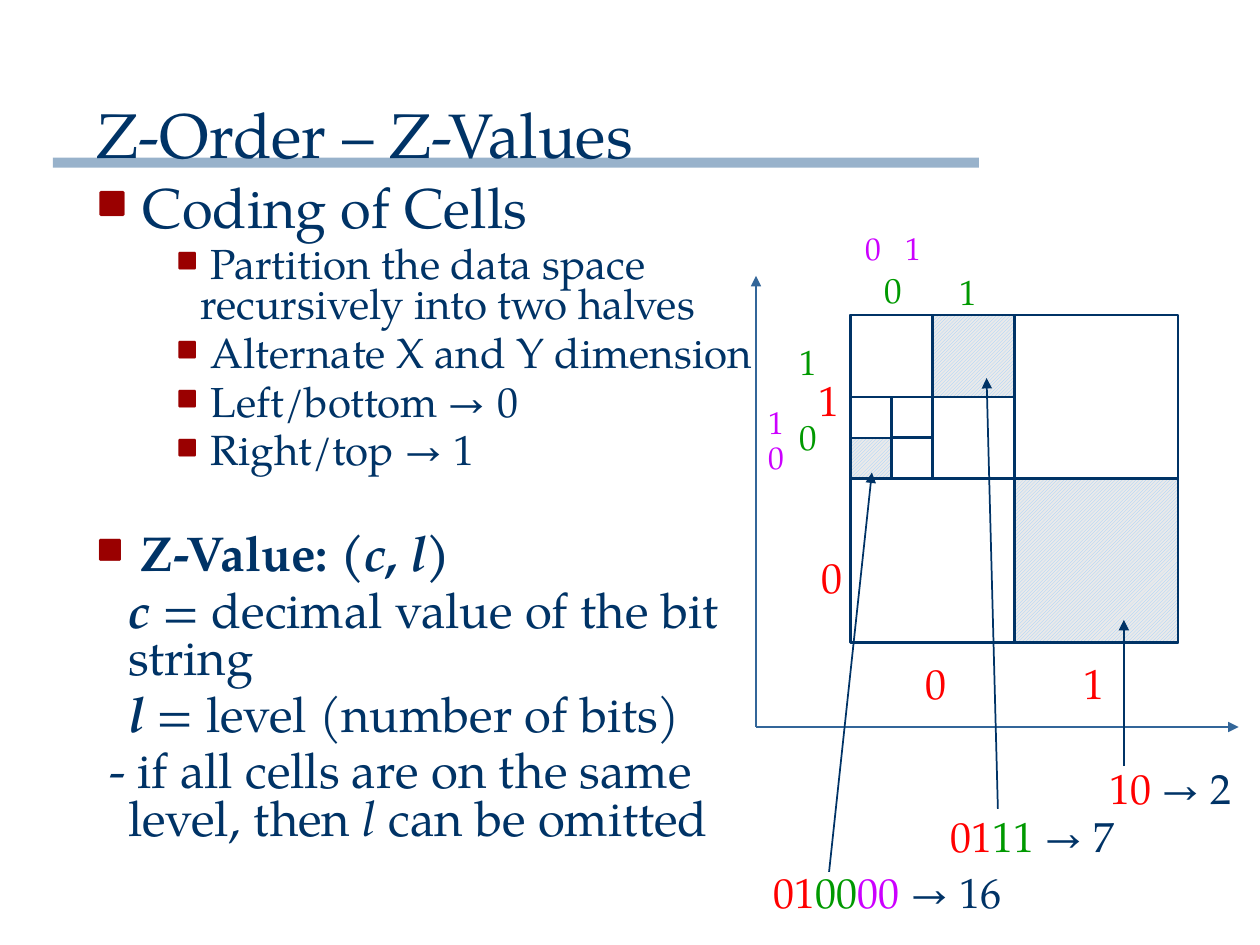
from lxml import etree
from pptx import Presentation
from pptx.dml.color import RGBColor
from pptx.enum.dml import MSO_PATTERN
from pptx.enum.shapes import MSO_CONNECTOR, MSO_SHAPE
from pptx.enum.text import MSO_ANCHOR, PP_ALIGN
from pptx.oxml.ns import qn
from pptx.util import Emu, Pt

RECT = MSO_SHAPE.RECTANGLE
STRAIGHT = MSO_CONNECTOR.STRAIGHT
HATCH = MSO_PATTERN.DARK_UPWARD_DIAGONAL
LEFT, CENTER = PP_ALIGN.LEFT, PP_ALIGN.CENTER
TOP, BOTTOM = MSO_ANCHOR.TOP, MSO_ANCHOR.BOTTOM

PX = 9144
FONT = "TeX Gyre Pagella"
NAVY, BLUE, MAROON = "003366", "336699", "9A0000"
RED, GREEN, PURPLE = "FF0000", "009900", "CC00FF"

TITLE = "Z-Order – Z-Values"

# style: (level, size, margin, indent, bullet percent)
STYLES = {
    "head": (0, 32, 25, -25, 75),
    "item": (1, 24, 82, -19, 70),
    "value": (0, 28, 25, -25, 75),
    "term": (0, 28, 25, 0, None),
    "note": (0, 28, 25, -25, None),
}
BODY = [
    ("head", [(" Coding of Cells", "")]),
    ("item", [(" Partition the data space recursively into two halves", "")]),
    ("item", [(" Alternate X and Y dimension", "")]),
    ("item", [(" Left/bottom → 0", "")]),
    ("item", [(" Right/top → 1", "")]),
    ("value", [(" Z-Value: (", "b"), ("c", "bi"), (", ", "b"), ("l", "bi"), (")", "b")]),
    ("term", [("c ", "bi"), ("= decimal value of the bit string", "")]),
    ("term", [("l ", "bi"), ("= level (number of bits)", "")]),
    ("note", [(" - if all cells are on the same level, then ", ""), ("l ", "i"),
              ("can be omitted", "")]),
]
SECTION_GAP = 34

GRID_LEFT, GRID_TOP, GRID_SIZE, DIVISIONS = 675, 250, 260, 8
# column, row, span, hatched
CELLS = [
    (0, 0, 8, False), (4, 4, 4, True), (0, 0, 4, False), (2, 0, 2, True),
    (0, 2, 2, False), (0, 3, 1, True), (1, 2, 1, False),
]

AXES = [(600, 577, 600, 219), (600, 577, 983, 577)]
POINTERS = [(658, 692, 692, 375), (792, 642, 783, 300), (892, 608, 892, 492)]

# colour, size, height, [(digit, left, top)]
BITS = [
    (RED, 24, 50, [("0", 725, 517), ("1", 850, 517), ("0", 642, 433), ("1", 640, 292)]),
    (GREEN, 20, 43, [("0", 692, 208), ("1", 752, 210), ("0", 625, 325), ("1", 625, 265)]),
    (PURPLE, 18, 40, [("0", 677, 177), ("1", 709, 177), ("0", 600, 343), ("1", 600, 315)]),
]
CODES = [
    (592, 683, 225, [("01", RED), ("00", GREEN), ("00 ", PURPLE), ("→ 16", NAVY)]),
    (736, 638, 167, [("01", RED), ("11 ", GREEN), ("→ 7", NAVY)]),
    (858, 600, 142, [("10 ", RED), ("→ 2", NAVY)]),
]


def px(n):
    return Emu(round(n * PX))


def rgb(value):
    return RGBColor.from_string(value)


def add_rect(s, x, y, w, h):
    sp = s.shapes.add_shape(RECT, px(x), px(y), px(w), px(h))
    sp.shadow.inherit = False
    return sp


def add_box(s, x, y, w, h, anchor=TOP):
    tf = s.shapes.add_textbox(px(x), px(y), px(w), px(h)).text_frame
    tf.word_wrap = True
    tf.vertical_anchor = anchor
    return tf


def add_run(p, text, size, color, style=""):
    r = p.add_run()
    r.text = text
    r.font.name = FONT
    r.font.size = Pt(size)
    r.font.bold = "b" in style
    r.font.italic = "i" in style
    r.font.color.rgb = rgb(color)


def add_label(s, x, y, w, h, runs, size, align=LEFT, anchor=TOP):
    p = add_box(s, x, y, w, h, anchor).paragraphs[0]
    p.alignment = align
    for text, color in runs:
        add_run(p, text, size, color)


def add_arrow(s, points, color, width):
    c = s.shapes.add_connector(STRAIGHT, *map(px, points))
    c.line.color.rgb = rgb(color)
    c.line.width = Pt(width)
    etree.SubElement(c.line._get_or_add_ln(), qn("a:tailEnd"), type="triangle")
    etree.SubElement(c._element.spPr, qn("a:effectLst"))


def set_bullet(p, margin, indent, percent):
    pPr = p._p.get_or_add_pPr()
    pPr.set("marL", str(px(margin)))
    pPr.set("indent", str(px(indent)))
    if percent is None:
        etree.SubElement(pPr, qn("a:buNone"))
        return
    color = etree.SubElement(pPr, qn("a:buClr"))
    etree.SubElement(color, qn("a:srgbClr"), val=MAROON)
    etree.SubElement(pPr, qn("a:buSzPct"), val=str(percent * 1000))
    etree.SubElement(pPr, qn("a:buFont"), typeface=FONT)
    etree.SubElement(pPr, qn("a:buChar"), char="■")


def add_body(s):
    tf = add_box(s, 67, 142, 575, 567)
    for i, (name, runs) in enumerate(BODY):
        level, size, margin, indent, percent = STYLES[name]
        p = tf.paragraphs[0] if i == 0 else tf.add_paragraph()
        p.level = level
        p.line_spacing = 0.8
        p.space_before = Pt(SECTION_GAP if name == "value" else size * 0.2)
        set_bullet(p, margin, indent, percent)
        for text, style in runs:
            add_run(p, text, size, NAVY, style)


def add_cells(s):
    unit = GRID_SIZE / DIVISIONS
    for col, row, span, hatched in CELLS:
        side = span * unit
        sp = add_rect(s, GRID_LEFT + col * unit, GRID_TOP + row * unit, side, side)
        if hatched:
            sp.fill.patterned()
            sp.fill.pattern = HATCH
            sp.fill.fore_color.rgb = rgb("99CCFF")
            sp.fill.back_color.rgb = rgb("EAEAEA")
        else:
            sp.fill.solid()
            sp.fill.fore_color.rgb = rgb("FFFFFF")
        sp.line.color.rgb = rgb(NAVY)
        sp.line.width = Pt(1.5)


def main():
    prs = Presentation()
    prs.slide_width, prs.slide_height = px(1000), px(750)
    s = prs.slides.add_slide(prs.slide_layouts[6])

    bar = add_rect(s, 42, 125, 735, 8)
    bar.fill.solid()
    bar.fill.fore_color.rgb = rgb(BLUE)
    bar.line.fill.background()
    color = bar._element.spPr.find(qn("a:solidFill"))[0]
    etree.SubElement(color, qn("a:alpha"), val="50000")

    add_label(s, 67, 58, 933, 83, [(TITLE, NAVY)], 36, anchor=BOTTOM)
    add_body(s)
    for axis in AXES:
        add_arrow(s, axis, BLUE, 1.5)
    add_cells(s)
    for color, size, height, digits in BITS:
        for digit, x, y in digits:
            add_label(s, x, y, 35, height, [(digit, color)], size)
    for x, y, width, runs in CODES:
        add_label(s, x, y, width, 50, runs, 24, CENTER)
    for pointer in POINTERS:
        add_arrow(s, pointer, NAVY, 1)
    prs.save("out.pptx")


if __name__ == "__main__":
    main()
